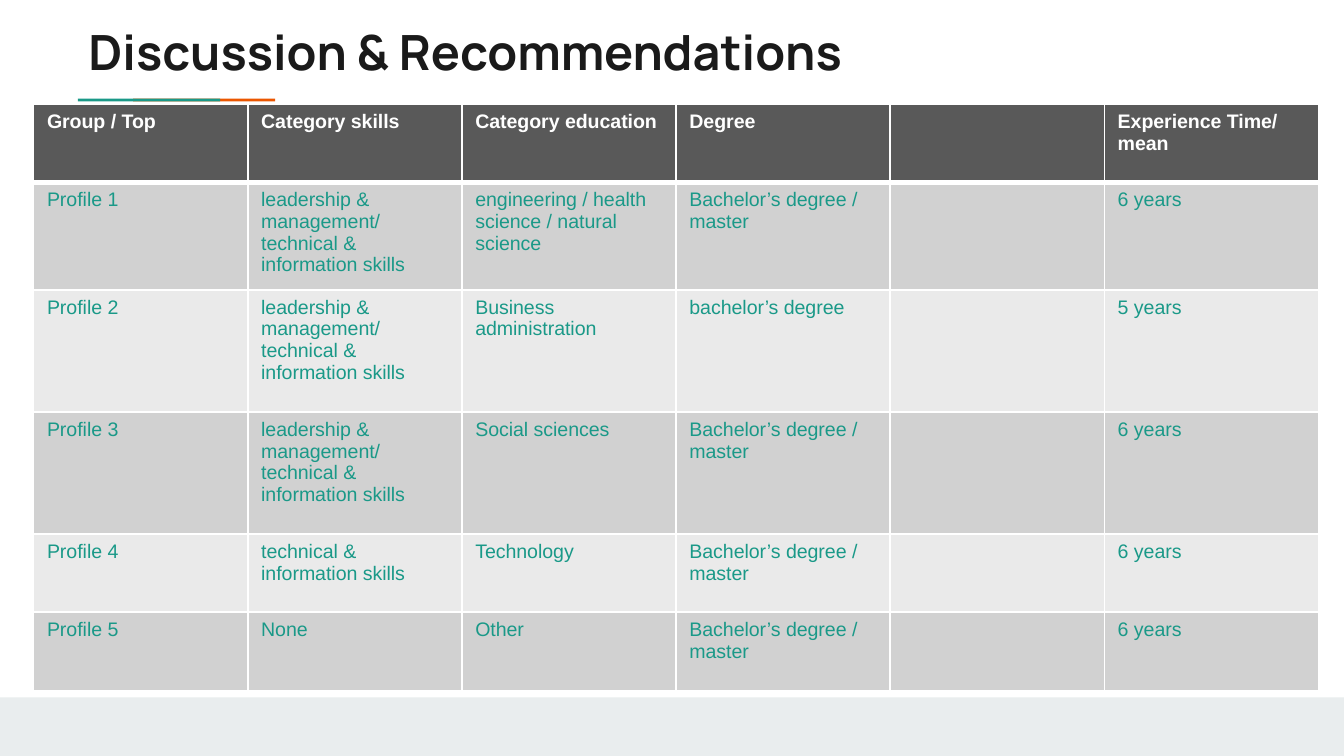
from dataclasses import dataclass

from lxml import etree
from pptx import Presentation
from pptx.dml.color import RGBColor
from pptx.enum.shapes import MSO_SHAPE
from pptx.enum.text import MSO_ANCHOR
from pptx.oxml.ns import qn
from pptx.util import Pt

RECTANGLE = MSO_SHAPE.RECTANGLE
TOP = MSO_ANCHOR.TOP

COLORS = {
    "white": "FFFFFF",
    "ink": "1A1A1A",
    "teal": "1A9988",
    "orange": "EB5600",
    "footer": "E9EDEE",
    "header": "595959",
    "odd": "D1D1D1",
    "even": "EAEAEA",
}


@dataclass
class Bar:
    left: float
    top: float
    width: float
    height: float
    color: str


@dataclass
class TextFormat:
    name: str
    size: float
    bold: bool
    color: str


BARS = [
    Bar(0, 373.7, 720, 31.3, "footer"),
    Bar(71.3, 52.9, 76.2, 1.4, "orange"),
    Bar(41.8, 52.9, 76.2, 1.4, "teal"),
]

TITLE = TextFormat("Manrope", 26, True, "ink")
HEADING = TextFormat("Arial", 10.5, True, "white")
BODY = TextFormat("Arial", 10.5, False, "teal")

LEADERSHIP = "leadership & management/ technical & information skills"
DEGREE = "Bachelor’s degree / master"
ROWS = [
    ("Group / Top", "Category skills", "Category education", "Degree", "", "Experience Time/ mean"),
    ("Profile 1", LEADERSHIP, "engineering / health science / natural science", DEGREE, "", "6 years"),
    ("Profile 2", LEADERSHIP, "Business administration", "bachelor’s degree", "", "5 years"),
    ("Profile 3", LEADERSHIP, "Social sciences", DEGREE, "", "6 years"),
    ("Profile 4", "technical & information skills", "Technology", DEGREE, "", "6 years"),
    ("Profile 5", "None", "Other", DEGREE, "", "6 years"),
]
ROW_HEIGHTS = [42, 54, 65.4, 65.4, 42, 42]
COLUMN_WIDTH = 114.74


def rgb(color: str) -> RGBColor:
    return RGBColor.from_string(COLORS[color])


def write(para, text: str, style: TextFormat) -> None:
    span = para.add_run()
    span.text = text
    values = {"name": style.name, "size": Pt(style.size), "bold": style.bold}
    for name, value in values.items():
        setattr(span.font, name, value)
    span.font.color.rgb = rgb(style.color)


def draw_bar(page, bar: Bar) -> None:
    shape = page.shapes.add_shape(
        RECTANGLE, Pt(bar.left), Pt(bar.top), Pt(bar.width), Pt(bar.height))
    shape.shadow.inherit = False
    shape.fill.solid()
    shape.fill.fore_color.rgb = rgb(bar.color)
    shape.line.fill.background()


def draw_title(page, text: str) -> None:
    box = page.shapes.add_textbox(Pt(40.3), Pt(6.5), Pt(605.5), Pt(42.5))
    values = {"word_wrap": True, "vertical_anchor": TOP, "margin_top": Pt(5.5),
              "margin_left": Pt(7.2), "margin_right": Pt(7.2)}
    for name, value in values.items():
        setattr(box.text_frame, name, value)
    write(box.text_frame.paragraphs[0], text, TITLE)


def add_borders(cell, widths: dict[str, float]) -> None:
    properties = cell._tc.get_or_add_tcPr()
    for side, width in widths.items():
        line = etree.SubElement(properties, qn(f"a:ln{side}"), w=str(Pt(width)))
        fill = etree.SubElement(line, qn("a:solidFill"))
        etree.SubElement(fill, qn("a:srgbClr"), val=COLORS["white"])


def draw_table(page) -> None:
    columns = len(ROWS[0])
    table = page.shapes.add_table(
        len(ROWS), columns, Pt(18), Pt(55.7),
        Pt(columns * COLUMN_WIDTH), Pt(sum(ROW_HEIGHTS))).table
    for column in table.columns:
        column.width = Pt(COLUMN_WIDTH)
    for index, (texts, height) in enumerate(zip(ROWS, ROW_HEIGHTS)):
        table.rows[index].height = Pt(height)
        fill = "header" if index == 0 else "odd" if index % 2 else "even"
        # The rule below the header is heavier than the others
        widths = {"L": 1, "R": 1, "T": 3 if index == 1 else 1, "B": 3 if index == 0 else 1}
        for number, text in enumerate(texts):
            cell = table.cell(index, number)
            add_borders(cell, widths)
            cell.fill.solid()
            cell.fill.fore_color.rgb = rgb(fill)
            if text:
                write(cell.text_frame.paragraphs[0], text, BODY if index else HEADING)


deck = Presentation()
deck.slide_width, deck.slide_height = Pt(720), Pt(405)
page = deck.slides.add_slide(deck.slide_layouts[6])

# Footer band and accent lines
for bar in BARS:
    draw_bar(page, bar)

# Title and profile table
draw_title(page, "Discussion & Recommendations")
draw_table(page)

deck.save("out.pptx")
